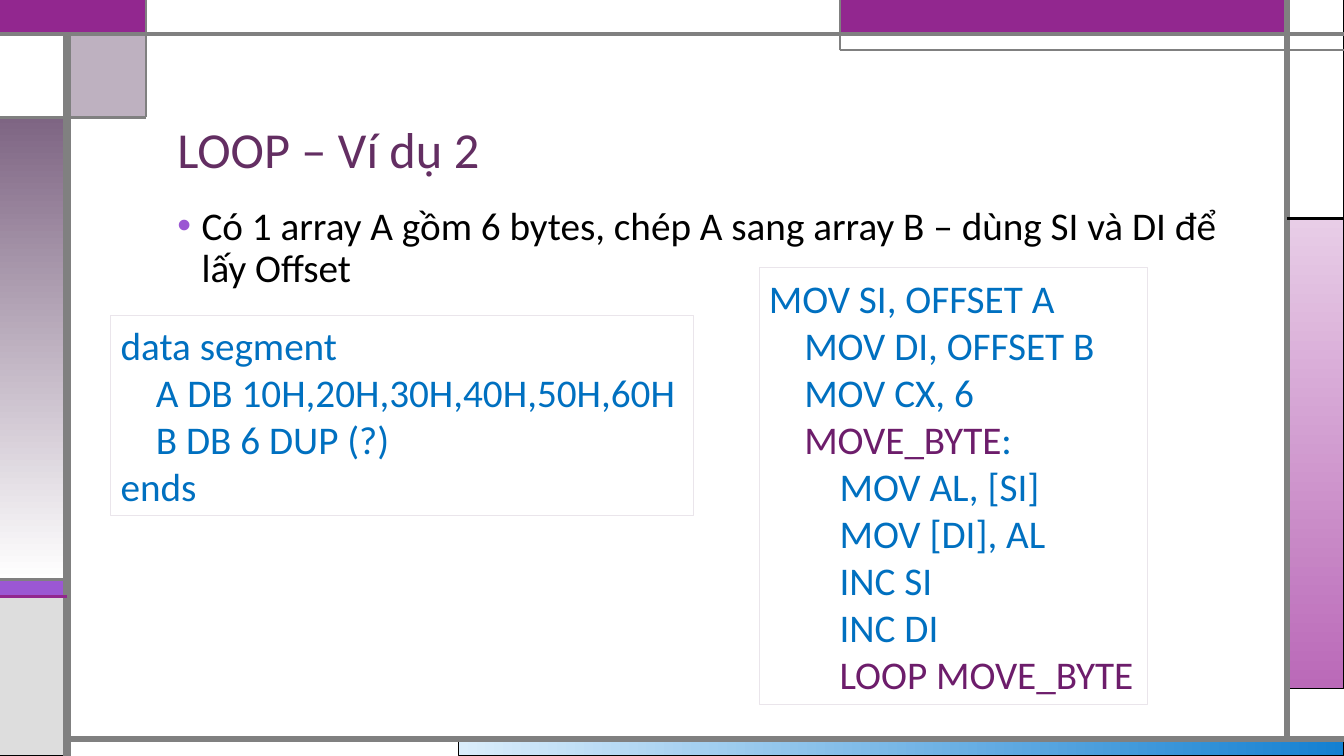
from lxml.etree import SubElement
from pptx import Presentation
from pptx.dml.color import RGBColor
from pptx.enum.shapes import MSO_CONNECTOR, MSO_SHAPE
from pptx.enum.text import MSO_ANCHOR, MSO_AUTO_SIZE, PP_ALIGN
from pptx.oxml.ns import qn
from pptx.util import Cm, Pt

COLORS = {
    "white": "FFFFFF", "black": "000000", "gray": "808080", "silver": "DDDDDD",
    "purple": "92278F", "violet": "9B57D3", "indigo": "755DD9", "mauve": "7E6583",
    "sky": "DAEDFB", "blue": "1480D1", "pink": "E8CDE7", "orchid": "BA69B8",
    "heading": "632E62", "code": "0070C0", "label": "6D1D6B", "frame": "EAE5EB",
}

TITLE = "LOOP – Ví dụ 2"
TASK = "Có 1 array A gồm 6 bytes, chép A sang array B – dùng SI và DI để lấy Offset"
DATA_CODE = [
    (0, [("data segment", "code")]),
    (1, [("A DB 10H,20H,30H,40H,50H,60H", "code")]),
    (1, [("B DB 6 DUP (?)", "code")]),
    (0, [("ends", "code")]),
]
LOOP_CODE = [
    (0, [("MOV SI, OFFSET A", "code")]),
    (1, [("MOV DI, OFFSET B", "code")]),
    (1, [("MOV CX, 6", "code")]),
    (1, [("MOVE_BYTE", "label"), (":", "code")]),
    (2, [("MOV AL, [SI]", "code")]),
    (2, [("MOV [DI], AL", "code")]),
    (2, [("INC SI", "code")]),
    (2, [("INC DI", "code")]),
    (2, [("LOOP MOVE_BYTE", "label")]),
]

WIDTH, HEIGHT = 33.87, 19.05
LEFT_RAIL, RIGHT_RAIL = 1.69, 32.44
TOP_RAIL, BOTTOM_RAIL = 0.85, 18.63
CORNER, BANNER = 3.67, 21.17
CORNER_END, BANNER_END, PANEL_TOP = 2.96, 1.27, 5.5
STRIPE_TOP, STRIPE_END = 14.61, 15.03
CODE_INDENT = 0.89

PANELS = [
    ((11.56, BOTTOM_RAIL, WIDTH, HEIGHT), ("sky", "blue", 0), "black", 0.75),
    ((RIGHT_RAIL, PANEL_TOP, WIDTH, 17.36), ("pink", "orchid", 270), "black", 0.75),
    ((0, STRIPE_TOP, LEFT_RAIL, STRIPE_END), "violet", "black", 0.75),
    ((0, STRIPE_END, LEFT_RAIL, HEIGHT), "silver", "black", 0.75),
    ((RIGHT_RAIL, 0, WIDTH, PANEL_TOP), "white", "black", 0.75),
    ((BANNER, 0, RIGHT_RAIL, TOP_RAIL), "purple", "indigo", 0.75),
    ((LEFT_RAIL, TOP_RAIL, CORNER, CORNER_END), "mauve", "black", 0.75),
    ((0, CORNER_END, LEFT_RAIL, STRIPE_TOP), ("mauve", "white", 270), "black", 0.75),
    ((0, TOP_RAIL, LEFT_RAIL, CORNER_END), "white", "black", 0.75),
    ((0, 0, CORNER, TOP_RAIL), "purple", "purple", 1.5),
    ((CORNER, 0, BANNER, TOP_RAIL), "white", "gray", 0.75),
]
RULES = [
    ((LEFT_RAIL, HEIGHT, LEFT_RAIL, TOP_RAIL), "gray", 6),
    ((LEFT_RAIL, BOTTOM_RAIL, WIDTH, BOTTOM_RAIL), "gray", 4.5),
    ((RIGHT_RAIL, BOTTOM_RAIL, RIGHT_RAIL, 0), "gray", 4.5),
    ((0, TOP_RAIL, WIDTH, TOP_RAIL), "gray", 3),
    ((WIDTH, BANNER_END, BANNER, BANNER_END), "gray", 1.5),
    ((BANNER, BANNER_END, BANNER, 0), "gray", 1.5),
    ((RIGHT_RAIL, PANEL_TOP, WIDTH, PANEL_TOP), "black", 2.25),
    ((CORNER, 0, CORNER, CORNER_END), "gray", 1.5),
    ((CORNER, CORNER_END, 0, CORNER_END), "gray", 2.25),
    ((LEFT_RAIL, STRIPE_TOP, 0, STRIPE_TOP), "gray", 2.25),
    ((LEFT_RAIL, STRIPE_END, 0, STRIPE_END), "purple", 2.25),
]
CODE_BOXES = [
    ((2.79, 7.95, 14.68, 5.05), DATA_CODE),
    ((19.13, 6.73, 9.8, 11.02), LOOP_CODE),
]
HEADING_FRAME = {"word_wrap": True, "vertical_anchor": MSO_ANCHOR.BOTTOM}
TASK_FRAME = {"word_wrap": True, "vertical_anchor": MSO_ANCHOR.TOP}
CODE_FRAME = {"word_wrap": False, "vertical_anchor": MSO_ANCHOR.MIDDLE,
              "auto_size": MSO_AUTO_SIZE.SHAPE_TO_FIT_TEXT}
PROSE = {"alignment": PP_ALIGN.LEFT, "line_spacing": 0.9}
CODE_LINE = {"alignment": PP_ALIGN.LEFT}


def rgb(color):
    return RGBColor.from_string(COLORS[color])


def apply(target, formats):
    for name, setting in formats.items():
        setattr(target, name, setting)


def outline(part, color, weight):
    part.line.color.rgb = rgb(color)
    part.line.width = Pt(weight)


def add_panel(slide, edges, paint, border, weight):
    left, top, right, bottom = edges
    panel = slide.shapes.add_shape(
        MSO_SHAPE.RECTANGLE, Cm(left), Cm(top), Cm(right - left), Cm(bottom - top))
    panel.shadow.inherit = False
    outline(panel, border, weight)
    if isinstance(paint, tuple):
        *shades, angle = paint
        panel.fill.gradient()
        panel.fill.gradient_angle = angle
        for stop, shade in zip(panel.fill.gradient_stops, shades):
            stop.color.rgb = rgb(shade)
    else:
        panel.fill.solid()
        panel.fill.fore_color.rgb = rgb(paint)
        if paint == "mauve":
            tint = panel.fill._xPr.find(qn("a:solidFill"))[0]
            SubElement(tint, qn("a:alpha"), val="50000")


def add_rule(slide, ends, color, weight):
    rule = slide.shapes.add_connector(MSO_CONNECTOR.STRAIGHT, *map(Cm, ends))
    outline(rule, color, weight)
    SubElement(rule._element.spPr, qn("a:effectLst"))


def write(paragraph, pieces, size, formats):
    apply(paragraph, formats)
    for words, color in pieces:
        run = paragraph.add_run()
        run.text = words
        apply(run.font, {"name": "Calibri", "size": Pt(size)})
        run.font.color.rgb = rgb(color)


def add_prose(slide, place, words, color, size, frame):
    prose = slide.shapes.add_textbox(*map(Cm, place)).text_frame
    apply(prose, frame)
    write(prose.paragraphs[0], [(words, color)], size, PROSE)
    return prose.paragraphs[0]


def add_bullet(paragraph, color):
    properties = paragraph._p.get_or_add_pPr()
    properties.set("marL", str(Cm(0.61)))
    properties.set("indent", str(-Cm(0.61)))
    tint = SubElement(properties, qn("a:buClr"))
    SubElement(tint, qn("a:srgbClr"), val=COLORS[color])
    SubElement(properties, qn("a:buFont"), typeface="Arial")
    SubElement(properties, qn("a:buChar"), char="•")


def add_code(slide, place, lines):
    box = slide.shapes.add_shape(MSO_SHAPE.RECTANGLE, *map(Cm, place))
    box.shadow.inherit = False
    box.fill.background()
    outline(box, "frame", 0.75)
    apply(box.text_frame, CODE_FRAME)
    for number, (depth, pieces) in enumerate(lines):
        paragraph = box.text_frame.add_paragraph() if number else box.text_frame.paragraphs[0]
        write(paragraph, pieces, 28, CODE_LINE)
        paragraph._p.get_or_add_pPr().set("marL", str(Cm(depth * CODE_INDENT)))


def main():
    deck = Presentation()
    apply(deck, {"slide_width": Cm(WIDTH), "slide_height": Cm(HEIGHT)})
    slide = deck.slides.add_slide(deck.slide_layouts[6])
    for panel in PANELS:
        add_panel(slide, *panel)
    for rule in RULES:
        add_rule(slide, *rule)
    task = add_prose(slide, (4.22, 5.08, 26.67, 2.44), TASK, "black", 28, TASK_FRAME)
    add_bullet(task, "violet")
    add_prose(slide, (4.22, 1.47, 26.67, 3.18), TITLE, "heading", 36, HEADING_FRAME)
    for place, lines in CODE_BOXES:
        add_code(slide, place, lines)
    deck.save("out.pptx")


if __name__ == "__main__":
    main()
